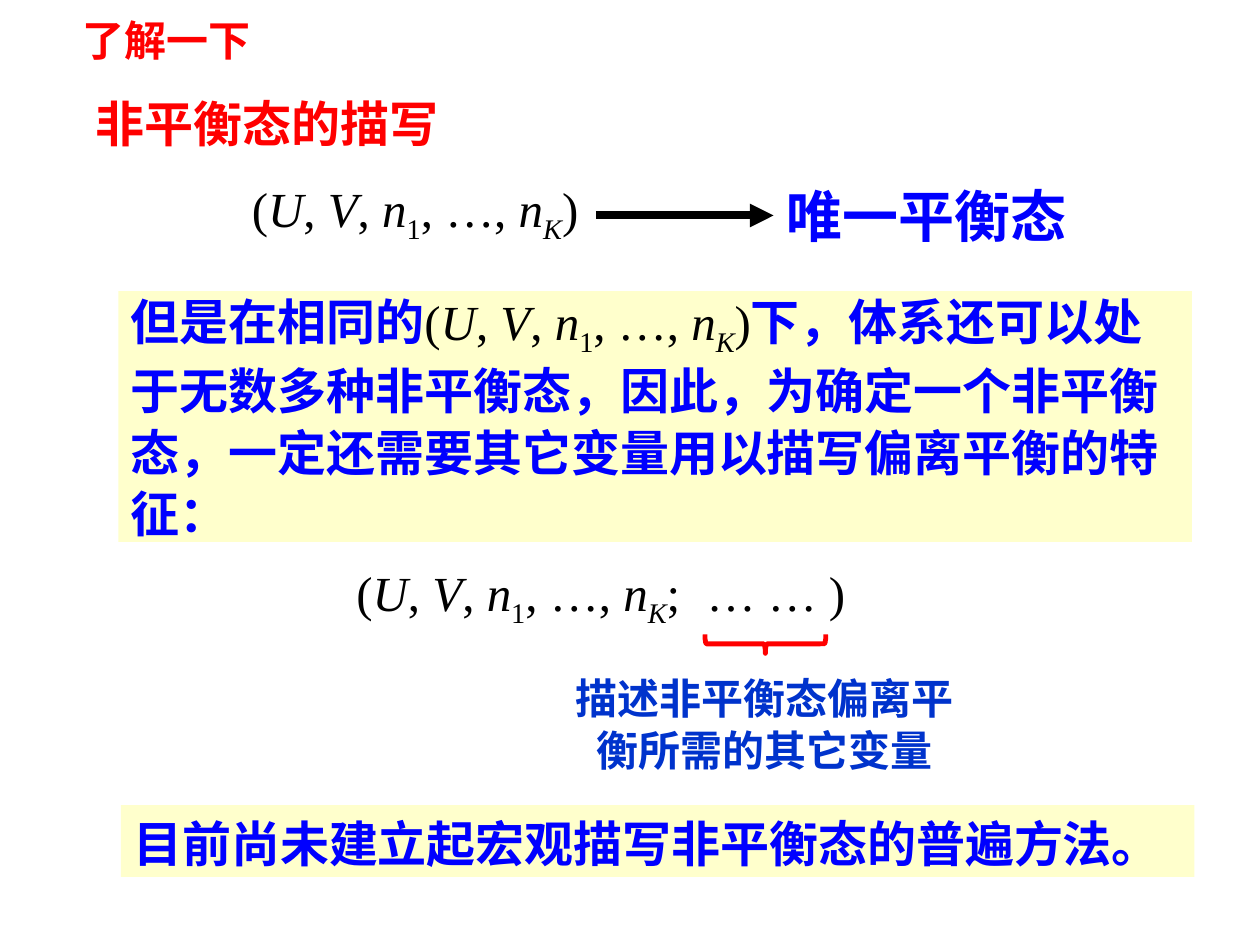
"""Build a slide on describing non-equilibrium states."""
import pptx
import pptx.util
import pptx.dml.color
import pptx.enum.shapes
import pptx.enum.text
import pptx.oxml.ns
import lxml.etree
from dataclasses import dataclass

Inches, Pt = pptx.util.Inches, pptx.util.Pt
RGB = pptx.dml.color.RGBColor.from_string
qn = pptx.oxml.ns.qn


@dataclass
class Theme:
    red: str = "FF0000"
    blue: str = "0000FF"
    navy: str = "0033CC"
    black: str = "000000"
    cream: str = "FFFFCC"
    small: int = 24
    body: int = 28
    large: int = 32
    lead: float = 1.25
    latin: str = "Times New Roman"
    asian: str = "Noto Sans CJK SC"


theme = Theme()


def add_run(para, text, size, color, bold=False, italic=False, sub=False):
    run = para.add_run()
    run.text = text
    font = run.font
    font.name, font.size = theme.latin, Pt(size)
    font.bold, font.italic = bold, italic
    font.color.rgb = RGB(color)
    props = run.font._element
    asian = lxml.etree.Element(qn("a:ea"), typeface=theme.asian)
    props.find(qn("a:latin")).addnext(asian)
    if sub:
        props.set("baseline", "-25000")


def add_box(left, top, width, height, size, parts, color=None, fill=None, align="LEFT", tab=None):
    area = [Inches(n) for n in (left, top, width, height)]
    if fill:
        box = slide.shapes.add_shape(pptx.enum.shapes.MSO_SHAPE.RECTANGLE, *area)
        box.shadow.inherit = False
        box.fill.solid()
        box.fill.fore_color.rgb = RGB(fill)
        box.line.fill.background()
    else:
        box = slide.shapes.add_textbox(*area)
    frame = box.text_frame
    frame.word_wrap = True
    frame.vertical_anchor = pptx.enum.text.MSO_ANCHOR.TOP
    para = frame.paragraphs[0]
    if tab:
        stops = lxml.etree.SubElement(para._p.get_or_add_pPr(), qn("a:tabLst"))
        lxml.etree.SubElement(stops, qn("a:tab"), pos=str(Inches(tab)), algn="l")
    para.line_spacing = Pt(size * theme.lead)
    para.alignment = getattr(pptx.enum.text.PP_ALIGN, align)
    for text, style in parts:
        if style == "word":
            add_run(para, text, size, color, bold=True)
        else:
            add_run(para, text, size, theme.black, italic="i" in style, sub="s" in style)


deck = pptx.Presentation()
deck.slide_width, deck.slide_height = Inches(10), Inches(7.5)
slide = deck.slides.add_slide(deck.slide_layouts[6])

state = [("(", ""), ("U", "i"), (", ", ""), ("V", "i"), (", ", ""), ("n", "i"),
         ("1", "s"), (", …, ", ""), ("n", "i"), ("K", "is")]
closed = state + [(")", "")]

add_box(0.56, 0.05, 4.96, 0.51, theme.small, [("了解一下", "word")], theme.red)
add_box(0.66, 0.67, 8.6, 0.57, theme.body, [("非平衡态的描写", "word")], theme.red)

add_box(1.9, 1.41, 2.83, 0.57, theme.body, closed)
add_box(6.14, 1.37, 2.67, 0.64, theme.large, [("唯一平衡态", "word")], theme.blue)
arrow = slide.shapes.add_connector(
    pptx.enum.shapes.MSO_CONNECTOR.STRAIGHT,
    Inches(4.73), Inches(1.71), Inches(6.14), Inches(1.71))
arrow.line.color.rgb = RGB(theme.black)
arrow.line.width = Pt(4.5)
lxml.etree.SubElement(arrow.line._get_or_add_ln(), qn("a:tailEnd"), type="triangle")
lxml.etree.SubElement(arrow._element.spPr, qn("a:effectLst"))

claim = [("但是在相同的", "word"), *closed,
         ("下，体系还可以处于无数多种非平衡态，因此，为确定一个非平衡态，"
          "一定还需要其它变量用以描写偏离平衡的特征：", "word")]
add_box(0.94, 2.31, 8.52, 1.99, theme.body, claim, theme.blue, theme.cream)

add_box(2.73, 4.46, 4.22, 0.57, theme.body, state + [(";\t… … )", "")], tab=2.78)
brace = slide.shapes.add_shape(
    pptx.enum.shapes.MSO_SHAPE.LEFT_BRACE,
    Inches(6), Inches(4.63), Inches(0.15), Inches(0.96))
brace.rotation = 270
brace.adjustments[0] = 0.08
brace.shadow.inherit = False
brace.fill.background()
brace.line.color.rgb = RGB(theme.red)
brace.line.width = Pt(2.75)
add_box(4.46, 5.27, 3.22, 0.99, theme.small,
        [("描述非平衡态偏离平衡所需的其它变量", "word")], theme.navy, align="CENTER")

add_box(0.96, 6.39, 8.52, 0.57, theme.body,
        [("目前尚未建立起宏观描写非平衡态的普遍方法。", "word")], theme.blue, theme.cream)

deck.save("out.pptx")
